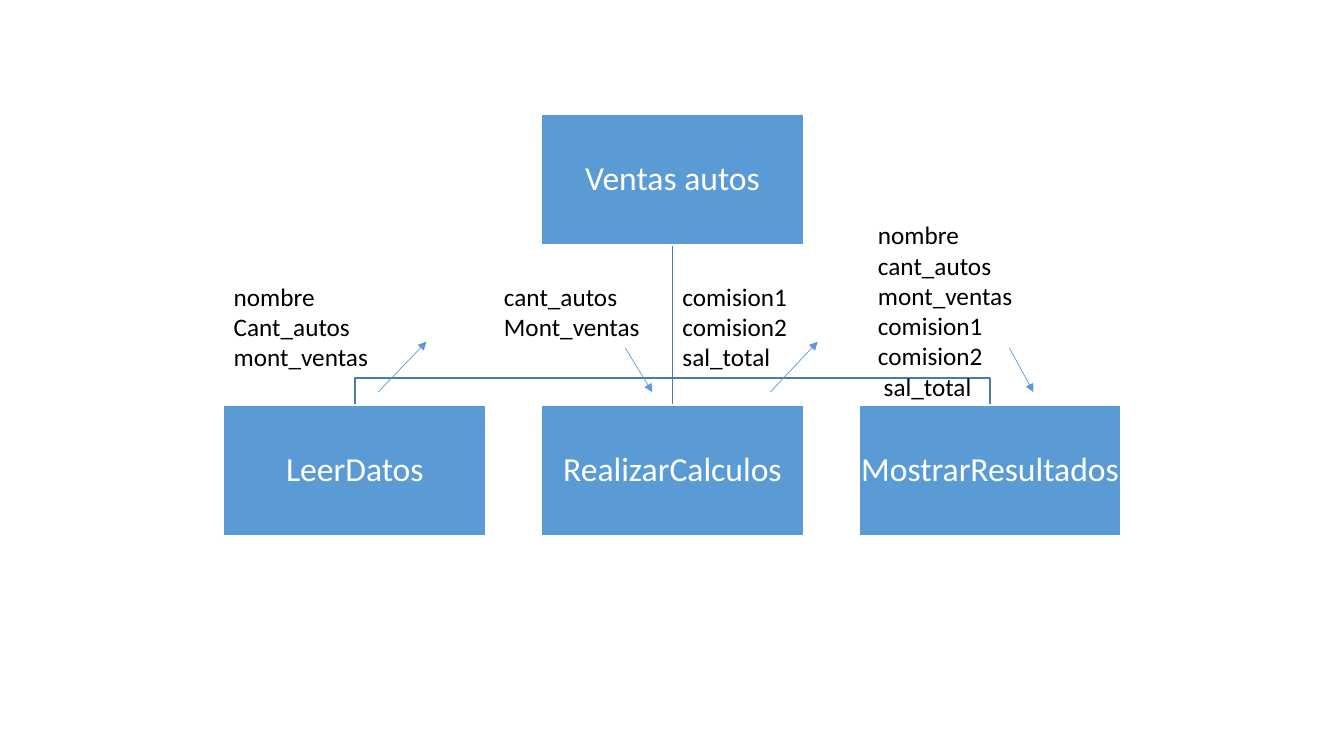
from lxml import etree
from pptx import Presentation
from pptx.dml.color import RGBColor
from pptx.enum.shapes import MSO_CONNECTOR, MSO_SHAPE
from pptx.enum.text import MSO_ANCHOR, PP_ALIGN
from pptx.oxml.ns import qn
from pptx.util import Pt

PX = 9144  # 100 px to the inch
RECT = MSO_SHAPE.RECTANGLE
STRAIGHT = MSO_CONNECTOR.STRAIGHT
MIDDLE = MSO_ANCHOR.MIDDLE
CENTER = PP_ALIGN.CENTER
FONT = "Calibri"
COLORS = {"box": "5B9BD5", "link": "497CAB", "light": "FFFFFF", "dark": "000000"}

BOX_W, BOX_H, STEP = 260, 130, 315
TREE = (222, 113)
DROP, BEND = 289, 262  # from the root's top to the child row and to the bar
MODULES = ["LeerDatos", "RealizarCalculos", "MostrarResultados"]

NOTES = [
    ((222, 274, 234, 101), ["nombre", "Cant_autos", "mont_ventas"]),
    ((490, 274, 172, 71), ["cant_autos", "Mont_ventas"]),
    ((667, 274, 136, 101), ["comision1", "comision2", "sal_total"]),
    ((861, 213, 230, 192),
     ["nombre", "cant_autos mont_ventas comision1 comision2", " sal_total"]),
]
LOW, HIGH_UP, HIGH_DOWN = 389, 339, 345
ARROWS = [
    (375, LOW, 423, HIGH_UP),
    (620, HIGH_DOWN, 647, LOW),
    (764, LOW, 811, HIGH_UP),
    (1001, HIGH_DOWN, 1025, LOW),
]


def px(*nums):
    return [n * PX for n in nums]


def color(name):
    return RGBColor.from_string(COLORS[name])


def style(para, size, name):
    para.font.size = Pt(size)
    para.font.name = FONT
    para.font.color.rgb = color(name)


def stroke(shape, name, width):
    shape.line.color.rgb = color(name)
    shape.line.width = Pt(width)


def add_line(slide, ends, name, width):
    line = slide.shapes.add_connector(STRAIGHT, *px(*ends))
    stroke(line, name, width)
    etree.SubElement(line._element.spPr, qn("a:effectLst"))
    return line


def add_arrow(slide, ends):
    line = add_line(slide, ends, "box", 0.5)
    etree.SubElement(line.line._get_or_add_ln(), qn("a:tailEnd"), type="triangle")


def add_elbow(slide, points):
    form = slide.shapes.build_freeform(*points[0], scale=PX)
    form.add_line_segments(points[1:], close=False)
    shape = form.convert_to_shape()
    shape.shadow.inherit = False
    shape.fill.background()
    stroke(shape, "link", 1)


def add_module(slide, left, top, label):
    box = slide.shapes.add_shape(RECT, *px(left, top, BOX_W, BOX_H))
    box.shadow.inherit = False
    box.fill.solid()
    box.fill.fore_color.rgb = color("box")
    stroke(box, "light", 1)
    frame = box.text_frame
    frame.word_wrap = True
    frame.vertical_anchor = MIDDLE
    frame.margin_left = frame.margin_right = 2 * PX
    frame.margin_top = frame.margin_bottom = 2 * PX
    frame.text = label
    para = frame.paragraphs[0]
    para.alignment = CENTER
    para.line_spacing = 0.9
    style(para, 24, "light")


def add_tree(slide, left, top):
    """Draw the root module, its links and the row of child modules."""
    root = left + STEP
    mid = root + BOX_W // 2
    base, bar, row = top + BOX_H, top + BEND, top + DROP
    for end in (mid + STEP, mid - STEP):
        add_elbow(slide, [(mid, base), (mid, bar), (end, bar), (end, row)])
    add_line(slide, (mid, base, mid, row), "link", 1)
    add_module(slide, root, top, "Ventas autos")
    for i, label in enumerate(MODULES):
        add_module(slide, left + i * STEP, row, label)


def add_note(slide, box, lines):
    frame = slide.shapes.add_textbox(*px(*box)).text_frame
    frame.word_wrap = True
    frame.text = "\n".join(lines)
    for para in frame.paragraphs:
        style(para, 18, "dark")


def main():
    deck = Presentation()
    deck.slide_width, deck.slide_height = px(1333, 750)
    slide = deck.slides.add_slide(deck.slide_layouts[6])
    add_tree(slide, *TREE)
    for box, lines in NOTES:
        add_note(slide, box, lines)
    for ends in ARROWS:
        add_arrow(slide, ends)
    deck.save("out.pptx")


if __name__ == "__main__":
    main()
